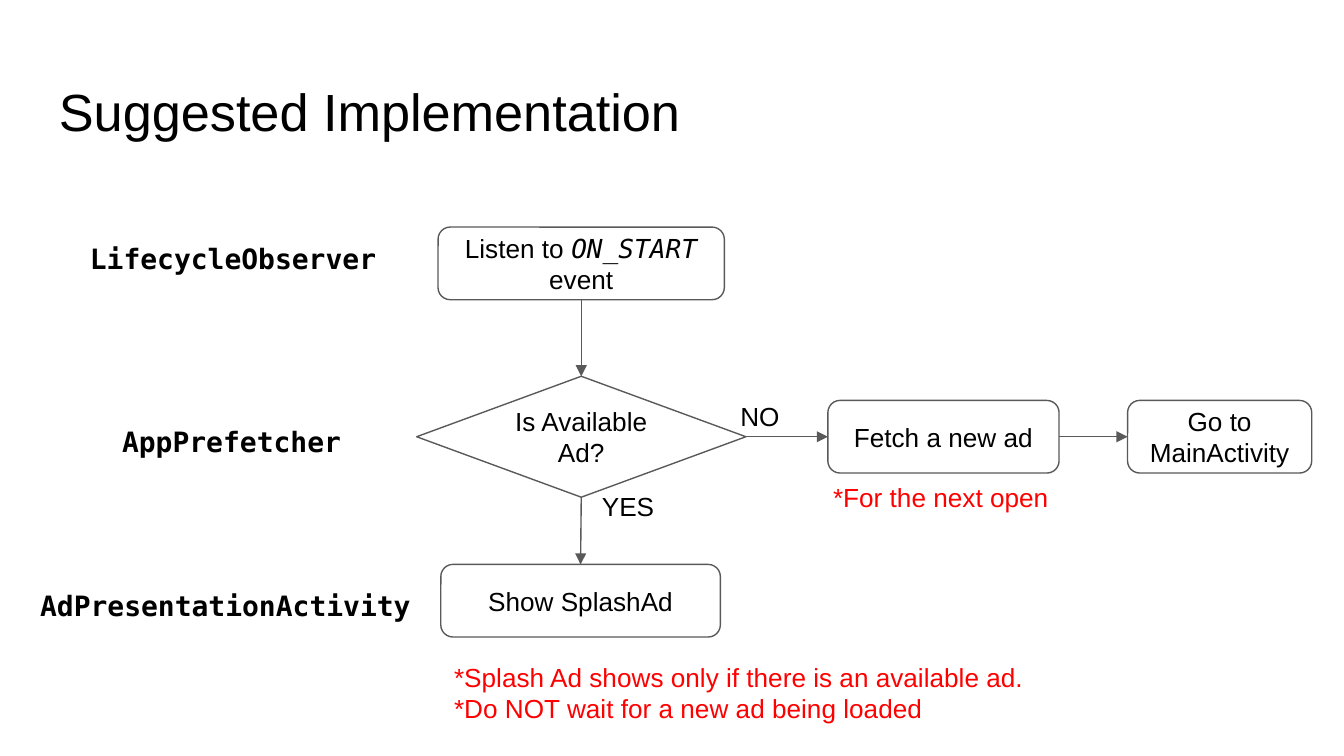
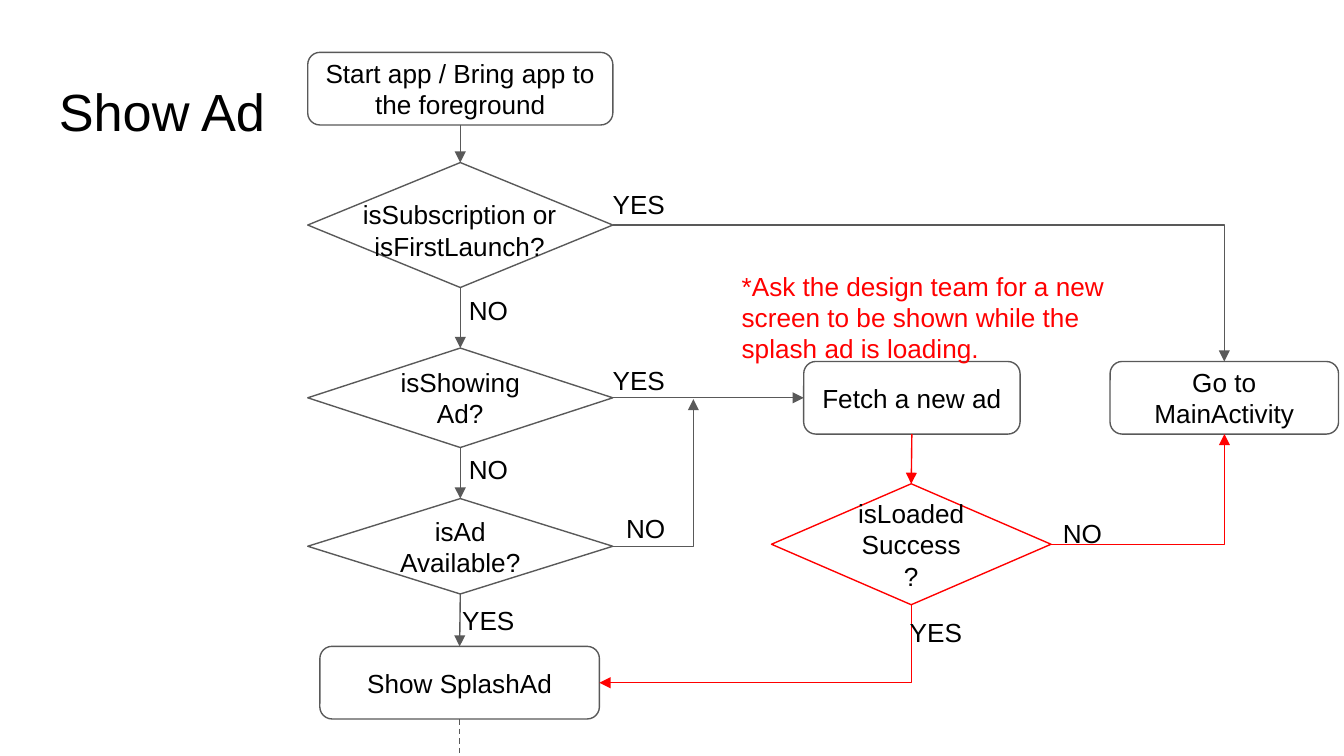
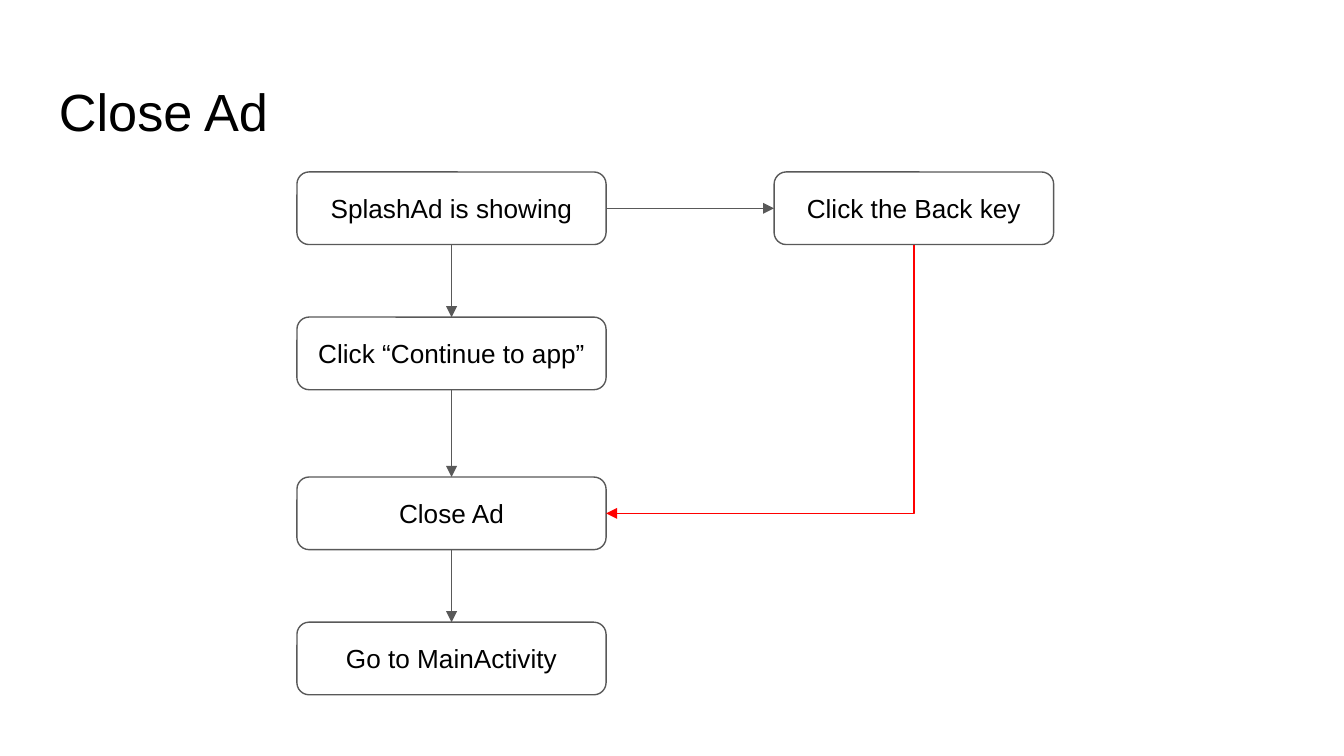
from dataclasses import dataclass

from lxml.etree import SubElement
from pptx import Presentation
from pptx.dml.color import RGBColor
from pptx.enum.dml import MSO_LINE
from pptx.enum.shapes import MSO_CONNECTOR, MSO_SHAPE
from pptx.enum.text import MSO_ANCHOR, PP_ALIGN
from pptx.oxml.ns import qn
from pptx.util import Inches, Pt


@dataclass(frozen=True)
class Theme:
    ink: RGBColor = RGBColor(0x00, 0x00, 0x00)
    gray: RGBColor = RGBColor(0x59, 0x59, 0x59)
    red: RGBColor = RGBColor(0xFF, 0x00, 0x00)
    sans: str = "Arial"
    mono: str = "DejaVu Sans Mono"
    title: int = 28
    body: int = 14
    code: int = 15
    stroke: float = 0.75


T = Theme()
BOX, DIAMOND = MSO_SHAPE.ROUNDED_RECTANGLE, MSO_SHAPE.DIAMOND
TOP, LEFT, BOTTOM, RIGHT = range(4)  # connection sites
BOX_H = 0.54
LABEL = (0.74, 0.46)


def put(slide, at, text="", kind=None, line=T.gray, color=T.ink, size=T.body,
        font=T.sans, bold=None, align=None, spacing=None):
    """Add an outlined flowchart shape of the given kind, or a plain text box."""
    box = [Inches(v) for v in at]
    if kind is None:
        sp = slide.shapes.add_textbox(*box)
    else:
        sp = slide.shapes.add_shape(kind, *box)
        sp.shadow.inherit = False
        sp.fill.background()
        sp.line.color.rgb = line
        sp.line.width = Pt(T.stroke)
        align = PP_ALIGN.CENTER
    tf = sp.text_frame
    tf.word_wrap = True
    tf.margin_left = tf.margin_right = tf.margin_top = tf.margin_bottom = Inches(0.1)
    tf.vertical_anchor = MSO_ANCHOR.MIDDLE if kind else MSO_ANCHOR.TOP
    tf.text = text
    for p in tf.paragraphs:
        p.alignment = align or PP_ALIGN.LEFT
        p.line_spacing = spacing
        p.font.name, p.font.size, p.font.bold = font, Pt(size), bold
        p.font.color.rgb = color
    return sp


def link(slide, start, site, end, end_site=None, color=T.gray, elbow=False, dashed=False):
    """Connect a shape's site to another shape's site, or to an (x, y) point."""
    cx = slide.shapes.add_connector(
        MSO_CONNECTOR.ELBOW if elbow else MSO_CONNECTOR.STRAIGHT, 0, 0, 0, 0)
    cx.begin_connect(start, site)
    if end_site is None:
        cx.end_x, cx.end_y = (Inches(v) for v in end)
    else:
        cx.end_connect(end, end_site)
    cx.line.color.rgb = color
    cx.line.width = Pt(T.stroke)
    sp_pr = cx._element.spPr
    if elbow:
        sp_pr.find(qn("a:prstGeom")).set("prst", "bentConnector2")
    if elbow and site == BOTTOM:  # down, then left: a quarter turn of right, then down
        mid_x, mid_y = (cx.begin_x + cx.end_x) // 2, (cx.begin_y + cx.end_y) // 2
        w, h = cx.height, cx.width
        cx.left, cx.top, cx.width, cx.height = mid_x - w // 2, mid_y - h // 2, w, h
        xfrm = sp_pr.find(qn("a:xfrm"))
        xfrm.set("flipH", "0")
        xfrm.set("rot", "5400000")
    if dashed:
        cx.line.dash_style = MSO_LINE.DASH
    else:
        SubElement(sp_pr.find(qn("a:ln")), qn("a:tailEnd"), type="triangle")
    SubElement(sp_pr, qn("a:effectLst"))


prs = Presentation()
prs.slide_width = Inches(10)
prs.slide_height = prs.slide_width * 9 // 16
slides = []
for title, width in (("Suggested Implementation", 9.32), ("Show Ad", 1.86), ("Close Ad", 9.32)):
    s = prs.slides.add_slide(prs.slide_layouts[6])
    put(s, (0.34, 0.49, width, 0.63), title, size=T.title)
    slides.append(s)
suggested, show, close = slides

# Suggested Implementation
s = suggested
for x, y, w, name, spacing in (
    (0.57, 1.7, 2.38, "LifecycleObserver", None),
    (0.81, 3.02, 2.38, "AppPrefetcher", 1.15),
    (0.2, 4.24, 3.15, "AdPresentationActivity", 1.15),
):
    put(s, (x, y, w, 0.46), name, font=T.mono, size=T.code, bold=True, spacing=spacing)

listen = put(s, (3.26, 1.69, 2.13, BOX_H), "Listen to ", BOX)
p = listen.text_frame.paragraphs[0]
r = p.add_run()
r.text, r.font.name, r.font.italic = "ON_START", T.mono, True
p.add_run().text = " event"

available = put(s, (3.1, 2.8, 2.45, 0.9), "Is Available Ad?", DIAMOND)
splash = put(s, (3.28, 4.2, 2.08, BOX_H), "Show SplashAd", BOX)
fetch = put(s, (6.16, 2.98, 1.72, BOX_H), "Fetch a new ad", BOX)
main_activity = put(s, (8.39, 2.98, 1.37, BOX_H), "Go to MainActivity", BOX)
link(s, listen, BOTTOM, available, TOP)
link(s, available, BOTTOM, splash, TOP)
link(s, available, RIGHT, fetch, LEFT)
link(s, fetch, RIGHT, main_activity, LEFT)
put(s, (5.41, 2.88, *LABEL), "NO")
put(s, (4.38, 3.55, *LABEL), "YES")
put(s, (6.1, 3.48, 1.86, 0.41), "*For the next open", color=T.red)
put(s, (3.28, 4.82, 4.59, 0.63),
    "*Splash Ad shows only if there is an available ad.\n"
    "*Do NOT wait for a new ad being loaded", color=T.red)

# Show Ad
s = show
X, W = 2.29, 2.27
start = put(s, (X, 0.39, W, BOX_H), "Start app / Bring app to the foreground", BOX)
first = put(s, (X, 1.21, W, 0.93), kind=DIAMOND)
put(s, (2.46, 1.38, 1.92, 0.54), "isSubscription or isFirstLaunch?", align=PP_ALIGN.CENTER)
showing = put(s, (X, 2.59, W, 0.74), "isShowingAd?", DIAMOND)
available = put(s, (X, 3.71, W, 0.71), "isAd Available?", DIAMOND)
splash = put(s, (2.38, 4.81, 2.08, BOX_H), "Show SplashAd", BOX)
fetch = put(s, (5.98, 2.69, 1.61, BOX_H), "Fetch a new ad", BOX)
main_activity = put(s, (8.26, 2.69, 1.7, BOX_H), "Go to MainActivity", BOX)
loaded = put(s, (5.74, 3.6, 2.08, 0.9), "isLoadedSuccess?", DIAMOND, line=T.red)

steps = (start, first, showing, available, splash)
for upper, lower in zip(steps, steps[1:]):
    link(s, upper, BOTTOM, lower, TOP)
link(s, splash, BOTTOM, (3.42, 5.61), dashed=True)
link(s, first, RIGHT, main_activity, TOP, elbow=True)
link(s, showing, RIGHT, fetch, LEFT)
link(s, available, RIGHT, (5.16, 2.97), elbow=True)
link(s, fetch, BOTTOM, loaded, TOP, color=T.red)
link(s, loaded, BOTTOM, splash, RIGHT, color=T.red, elbow=True)
link(s, loaded, RIGHT, main_activity, BOTTOM, color=T.red, elbow=True)

for x, y, answer in (
    (4.46, 1.3, "YES"), (3.39, 2.09, "NO"),
    (4.46, 2.61, "YES"), (3.39, 3.27, "NO"),
    (4.56, 3.71, "NO"), (3.34, 4.4, "YES"),
    (7.81, 3.75, "NO"), (6.67, 4.49, "YES"),
):
    put(s, (x, y, *LABEL), answer)
put(s, (5.42, 1.91, 3.03, 0.84),
    "*Ask the design team for a new screen to be shown while the splash ad is loading.",
    color=T.red)

# Close Ad
s = close
steps = [put(s, (2.21, y, 2.3, BOX_H), text, BOX) for y, text in (
    (1.28, "SplashAd is showing"),
    (2.36, "Click “Continue to app”"),
    (3.55, "Close Ad"),
    (4.63, "Go to MainActivity"),
)]
back_key = put(s, (5.76, 1.28, 2.08, BOX_H), "Click the Back key", BOX)
for upper, lower in zip(steps, steps[1:]):
    link(s, upper, BOTTOM, lower, TOP)
link(s, steps[0], RIGHT, back_key, LEFT)
link(s, back_key, BOTTOM, steps[2], RIGHT, color=T.red, elbow=True)

prs.save("out.pptx")
